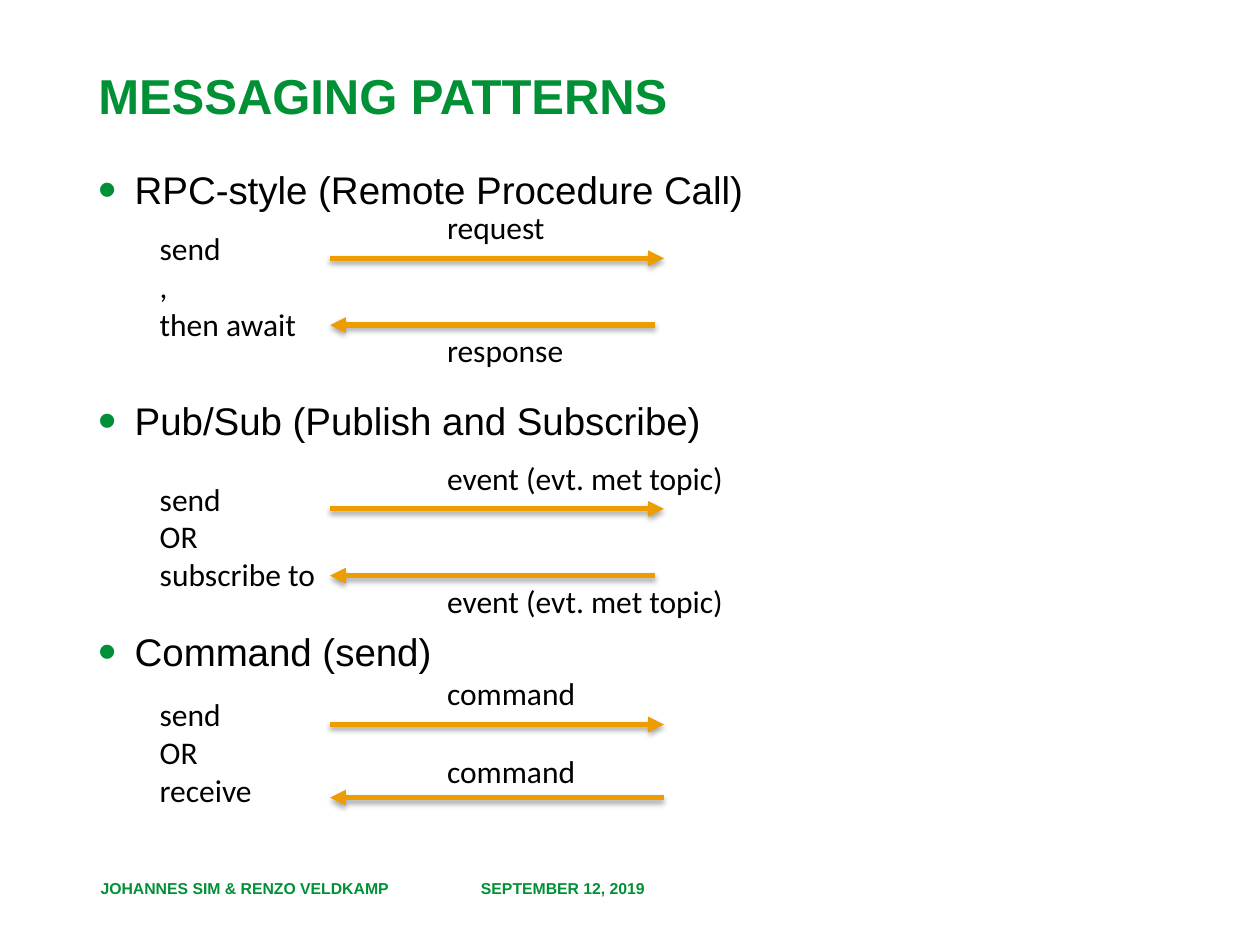
from pptx import Presentation
from pptx.dml.color import RGBColor
from pptx.enum.shapes import MSO_CONNECTOR
from pptx.enum.text import MSO_ANCHOR, MSO_AUTO_SIZE, PP_ALIGN
from pptx.oxml import parse_xml
from pptx.oxml.ns import nsdecls
from pptx.util import Pt

GREEN = RGBColor(0x00, 0x90, 0x36)
ORANGE = RGBColor(0xEE, 0x9D, 0x00)
BLACK = RGBColor(0x00, 0x00, 0x00)

LEFT, RIGHT = 188.6, 379.4
TOPICS = [
    "RPC-style (Remote Procedure Call)",
    "Pub/Sub (Publish and Subscribe)",
    "Command (send)",
]
# Each: top, steps, their width, labels, their width, reply start, reply drop, reply label drop
FLOWS = [
    (147.6, "send\n,\nthen await", 93.6, ("request", 70.6), ("response", 81.4), 374.4, 38.2, 38.2),
    (290.8, "send\nOR\nsubscribe to", 104.4, ("event (evt. met topic)", 174.2),
     ("event (evt. met topic)", 174.2), 374.4, 38.2, 38.2),
    (414, "send\nOR\nreceive", 67.7, ("command", 88.6), ("command", 88.6), RIGHT, 41.8, 12.2),
]


def style(frame, font, size, color, bold=False):
    """Format every run of a text frame."""
    for para in frame.paragraphs:
        para.alignment = PP_ALIGN.LEFT
        for run in para.runs:
            run.font.name = font
            run.font.size = Pt(size)
            run.font.bold = bold
            run.font.color.rgb = color


def add_text(shapes, text, left, top, width, height):
    """Add a text box and return its frame."""
    box = shapes.add_textbox(Pt(left), Pt(top), Pt(width), Pt(height))
    box.text_frame.text = text
    return box.text_frame


def add_label(shapes, text, left, top, width):
    """Add a label that grows with its text."""
    rows = text.count("\n") + 1
    frame = add_text(shapes, text, left, top, width, 7.2 + 22 * rows)
    frame.word_wrap = False
    frame.auto_size = MSO_AUTO_SIZE.SHAPE_TO_FIT_TEXT
    style(frame, "Calibri", 18, BLACK)


def add_arrow(shapes, start, end, top):
    """Add a level arrow with a soft shadow."""
    arrow = shapes.add_connector(MSO_CONNECTOR.STRAIGHT, Pt(start), Pt(top), Pt(end), Pt(top))
    arrow.line.width = Pt(3)
    arrow.line.color.rgb = ORANGE
    line = arrow.line._get_or_add_ln()
    line.append(parse_xml(f'<a:tailEnd {nsdecls("a")} type="triangle"/>'))
    line.addnext(parse_xml(
        f'<a:effectLst {nsdecls("a")}>'
        f'<a:outerShdw blurRad="{Pt(3.1)}" dist="{Pt(1.8)}" dir="5400000" rotWithShape="0">'
        '<a:srgbClr val="000000"><a:alpha val="35000"/></a:srgbClr>'
        '</a:outerShdw></a:effectLst>'))


def add_flow(slide, top, steps, width, ask, reply, start, drop, below):
    """Add one group of steps, two arrows and their labels."""
    shapes = slide.shapes.add_group_shape().shapes
    add_arrow(shapes, LEFT, RIGHT, top)
    add_label(shapes, ask[0], 248.4, top - 32.2, ask[1])
    add_arrow(shapes, start, LEFT, top + drop)
    add_label(shapes, reply[0], 248.4, top + below, reply[1])
    add_label(shapes, steps, 84.2, top - 20.2, width)


def add_title(slide, text):
    """Place and format the title."""
    title = slide.shapes.title
    title.left, title.top, title.width, title.height = Pt(49), Pt(37.4), Pt(643), Pt(48.2)
    frame = title.text_frame
    frame.text = text
    frame.vertical_anchor = MSO_ANCHOR.TOP
    frame.auto_size = MSO_AUTO_SIZE.NONE
    frame.paragraphs[0].line_spacing = Pt(30)
    style(frame, "Arial", 28, GREEN, True)


def add_topics(slide):
    """Add the bulleted topics, evenly spaced."""
    frame = add_text(slide.shapes, "\n".join(TOPICS), 49, 91.4, 643, 383)
    frame.word_wrap = True
    style(frame, "Arial", 22, BLACK)
    for para in frame.paragraphs:
        para.line_spacing = Pt(26.4)
        para.space_before = Pt(0 if para.text == TOPICS[0] else 105.6)
        props = para._p.get_or_add_pPr()
        props.set("marL", str(Pt(20.9)))
        props.set("indent", str(Pt(-20.9)))
        for mark in (f'<a:buClr {nsdecls("a")}><a:srgbClr val="{GREEN}"/></a:buClr>',
                     f'<a:buSzPct {nsdecls("a")} val="135000"/>',
                     f'<a:buFont {nsdecls("a")} typeface="Arial"/>',
                     f'<a:buChar {nsdecls("a")} char="•"/>'):
            props.append(parse_xml(mark))


def add_footer(slide, text, left, width):
    """Add one footer text."""
    frame = add_text(slide.shapes, text, left, 493.2, width, 28.8)
    frame.word_wrap = True
    frame.vertical_anchor = MSO_ANCHOR.MIDDLE
    style(frame, "Arial", 9, GREEN, True)


def main():
    """Build and save the slide."""
    deck = Presentation()
    deck.slide_width, deck.slide_height = Pt(720), Pt(540)
    slide = deck.slides.add_slide(deck.slide_layouts[5])
    add_title(slide, "MESSAGING PATTERNS")
    add_topics(slide)
    add_footer(slide, "SEPTEMBER 12, 2019", 267.8, 167.8)
    add_footer(slide, "JOHANNES SIM & RENZO VELDKAMP", 50.4, 207.4)
    for flow in FLOWS:
        add_flow(slide, *flow)
    deck.save("out.pptx")


if __name__ == "__main__":
    main()
